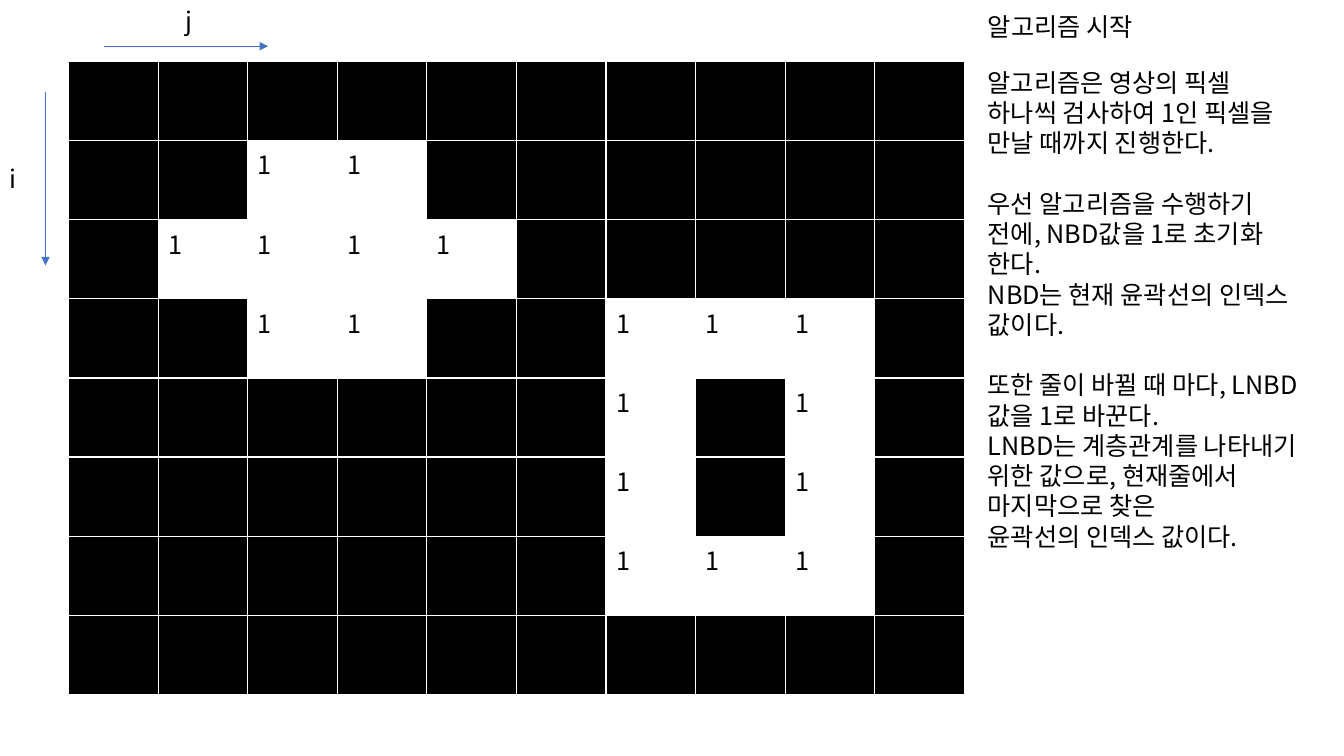
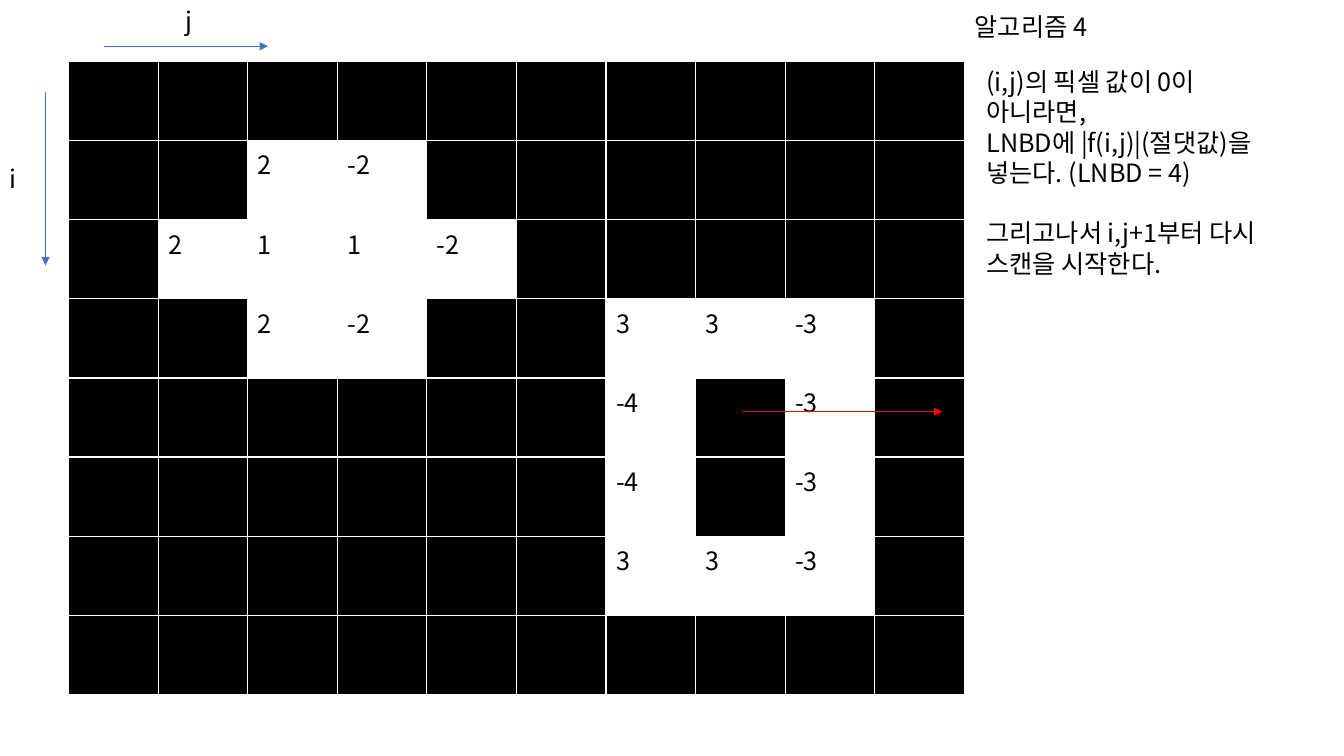
from dataclasses import dataclass
from typing import NamedTuple

from lxml import etree
from pptx import Presentation
from pptx import util as u
from pptx.dml.color import RGBColor
from pptx.enum import shapes, text
from pptx.oxml import ns

# Shared look
BLACK = RGBColor(0x00, 0x00, 0x00)
WHITE = RGBColor(0xFF, 0xFF, 0xFF)
BLUE = RGBColor(0x44, 0x72, 0xC4)
RED = RGBColor(0xFF, 0x00, 0x00)
FONT = "Noto Sans CJK KR"
FONT_SIZE = u.Pt(18)
LINE_PITCH = u.Pt(21.6)
LINE_WIDTH = u.Pt(0.5)
BORDER_WIDTH = u.Pt(1)
EMU_PER_PX = 6350
TITLE_ONLY = 5


class Box(NamedTuple):
    left: int
    top: int
    width: int
    height: int


class Arrow(NamedTuple):
    start_x: int
    start_y: int
    end_x: int
    end_y: int
    color: RGBColor


class Label(NamedTuple):
    wording: str
    box: Box


@dataclass(frozen=True)
class Step:
    """One stage of the contour algorithm; a dot is a black pixel."""
    title: Label
    pixels: list[str]
    blocks: list[list[str]]
    blocks_box: Box
    wrap: bool
    scan_arrows: tuple[Arrow, ...] = ()


# Pixel grid and its axes
GRID_LEFT, GRID_TOP = 98, 88
COLUMN_WIDTH, ROW_HEIGHT = 128, 113
AXIS_ARROWS = (Arrow(148, 66, 383, 66, BLUE), Arrow(65, 131, 65, 379, BLUE))
AXIS_LABELS = (Label("j", Box(251, 0, 55, 58)), Label("i", Box(0, 226, 46, 58)))

STEPS = [
    Step(
        title=Label("알고리즘 시작", Box(1397, 9, 261, 58)),
        pixels=[
            ". . . . . . . . . .",
            ". . 1 1 . . . . . .",
            ". 1 1 1 1 . . . . .",
            ". . 1 1 . . 1 1 1 .",
            ". . . . . . 1 . 1 .",
            ". . . . . . 1 . 1 .",
            ". . . . . . 1 1 1 .",
            ". . . . . . . . . .",
        ],
        blocks=[
            ["알고리즘은 영상의 픽셀", "하나씩 검사하여 1인 픽셀을", "만날 때까지 진행한다."],
            ["우선 알고리즘을 수행하기", "전에, NBD값을 1로 초기화", "한다.",
             "NBD는 현재 윤곽선의 인덱스", "값이다."],
            ["또한 줄이 바뀔 때 마다, LNBD", "값을 1로 바꾼다.",
             "LNBD는 계층관계를 나타내기", "위한 값으로, 현재줄에서",
             "마지막으로 찾은", "윤곽선의 인덱스 값이다."],
        ],
        blocks_box=Box(1397, 89, 521, 713),
        wrap=False,
    ),
    Step(
        title=Label("알고리즘 4", Box(1378, 9, 207, 58)),
        pixels=[
            ". . . . . . . . . .",
            ". . 2 -2 . . . . . .",
            ". 2 1 1 -2 . . . . .",
            ". . 2 -2 . . 3 3 -3 .",
            ". . . . . . -4 . -3 .",
            ". . . . . . -4 . -3 .",
            ". . . . . . 3 3 -3 .",
            ". . . . . . . . . .",
        ],
        blocks=[
            ["(i,j)의 픽셀 값이 0이", "아니라면,", "LNBD에 |f(i,j)|(절댓값)을",
             "넣는다. (LNBD = 4)"],
            ["그리고나서 i,j+1부터 다시 스캔을 시작한다."],
        ],
        blocks_box=Box(1395, 88, 500, 320),
        wrap=True,
        scan_arrows=(Arrow(1060, 588, 1346, 588, RED),),
    ),
]


def px(length: int) -> u.Emu:
    return u.Emu(length * EMU_PER_PX)


def format_runs(paragraph) -> None:
    for run in paragraph.runs:
        run.font.name = FONT
        run.font.size = FONT_SIZE
        run.font.color.rgb = BLACK
        # East Asian glyphs take their own font entry
        properties = run._r.get_or_add_rPr()
        etree.SubElement(properties, ns.qn("a:ea"), typeface=FONT)


def fill_text(shape, blocks: list[list[str]], wrap: bool) -> None:
    """Write blocks of lines, one line of space between blocks."""
    frame = shape.text_frame
    frame.text = "\n".join(line for block in blocks for line in block)
    frame.word_wrap = wrap
    frame.auto_size = text.MSO_AUTO_SIZE.NONE
    frame.vertical_anchor = text.MSO_ANCHOR.TOP
    paragraphs = iter(frame.paragraphs)
    for block_index, block in enumerate(blocks):
        for line_index in range(len(block)):
            paragraph = next(paragraphs)
            paragraph.alignment = text.PP_ALIGN.LEFT
            paragraph.line_spacing = LINE_PITCH
            starts_block = block_index > 0 and line_index == 0
            paragraph.space_before = LINE_PITCH if starts_block else u.Pt(0)
            format_runs(paragraph)


def set_title(slide, title: Label) -> None:
    shape = slide.shapes.title
    shape.left, shape.top, shape.width, shape.height = map(px, title.box)
    fill_text(shape, [[title.wording]], wrap=False)


def add_text(slide, blocks: list[list[str]], box: Box, wrap: bool) -> None:
    fill_text(slide.shapes.add_textbox(*map(px, box)), blocks, wrap)


def add_arrow(slide, arrow: Arrow) -> None:
    connector = slide.shapes.add_connector(
        shapes.MSO_CONNECTOR.STRAIGHT, *map(px, arrow[:4]))
    connector.line.color.rgb = arrow.color
    connector.line.width = LINE_WIDTH
    line = connector.line._get_or_add_ln()
    etree.SubElement(line, ns.qn("a:tailEnd"), type="triangle")
    etree.SubElement(connector._element.spPr, ns.qn("a:effectLst"))


def add_borders(cell) -> None:
    properties = cell._tc.get_or_add_tcPr()
    for side in ("lnL", "lnR", "lnT", "lnB"):
        border = etree.SubElement(properties, ns.qn(f"a:{side}"), w=str(BORDER_WIDTH))
        fill = etree.SubElement(border, ns.qn("a:solidFill"))
        etree.SubElement(fill, ns.qn("a:srgbClr"), val=str(WHITE))


def add_pixel_grid(slide, pixels: list[str]) -> None:
    rows = [row.split() for row in pixels]
    row_count, column_count = len(rows), len(rows[0])
    box = Box(GRID_LEFT, GRID_TOP, column_count * COLUMN_WIDTH, row_count * ROW_HEIGHT)
    table = slide.shapes.add_table(row_count, column_count, *map(px, box)).table
    table.first_row = table.horz_banding = False
    for column in table.columns:
        column.width = px(COLUMN_WIDTH)
    for row_index, row in enumerate(rows):
        table.rows[row_index].height = px(ROW_HEIGHT)
        for column_index, value in enumerate(row):
            cell = table.cell(row_index, column_index)
            add_borders(cell)
            cell.fill.solid()
            cell.fill.fore_color.rgb = BLACK if value == "." else WHITE
            if value != ".":
                cell.text_frame.text = value
                format_runs(cell.text_frame.paragraphs[0])


def add_step(presentation, step: Step) -> None:
    slide = presentation.slides.add_slide(presentation.slide_layouts[TITLE_ONLY])
    set_title(slide, step.title)
    add_pixel_grid(slide, step.pixels)
    for label in AXIS_LABELS:
        add_text(slide, [[label.wording]], label.box, wrap=True)
    add_text(slide, step.blocks, step.blocks_box, step.wrap)
    for arrow in AXIS_ARROWS + step.scan_arrows:
        add_arrow(slide, arrow)


def main() -> None:
    presentation = Presentation()
    presentation.slide_width, presentation.slide_height = px(1920), px(1080)
    for step in STEPS:
        add_step(presentation, step)
    presentation.save("out.pptx")


if __name__ == "__main__":
    main()
